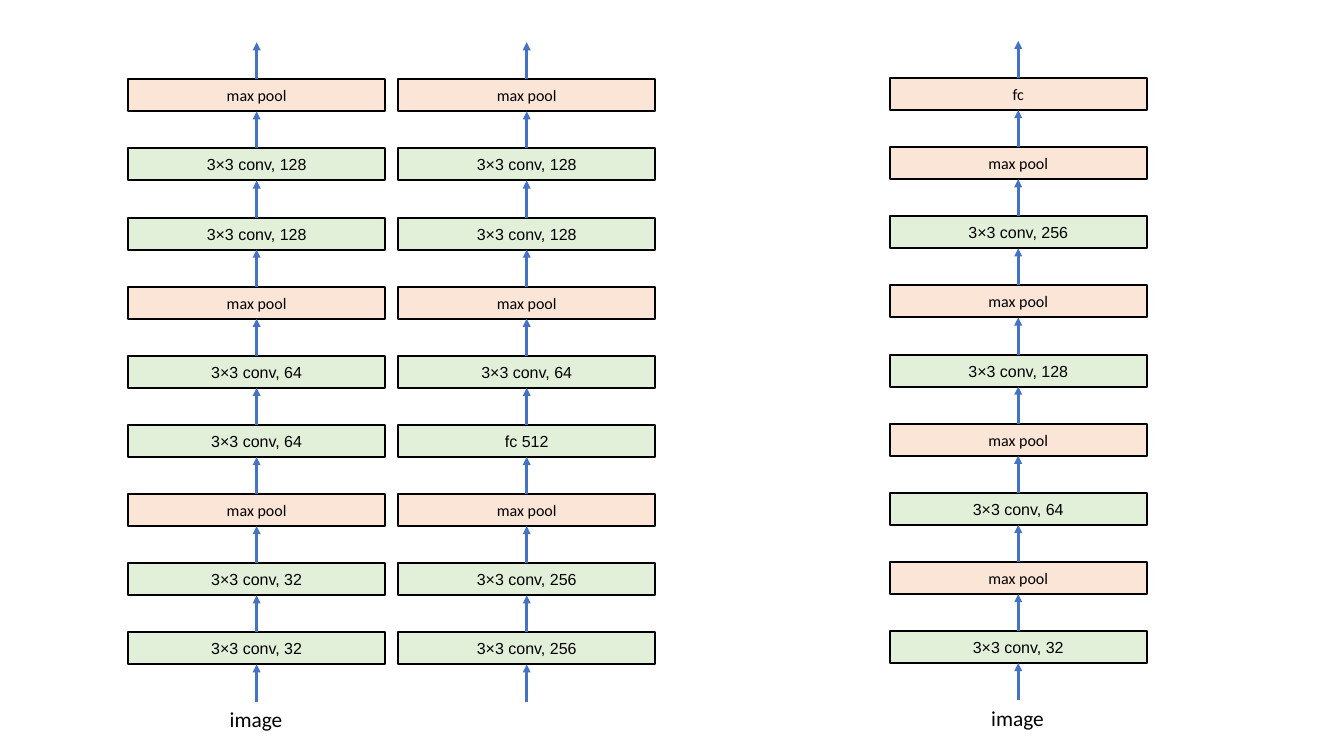
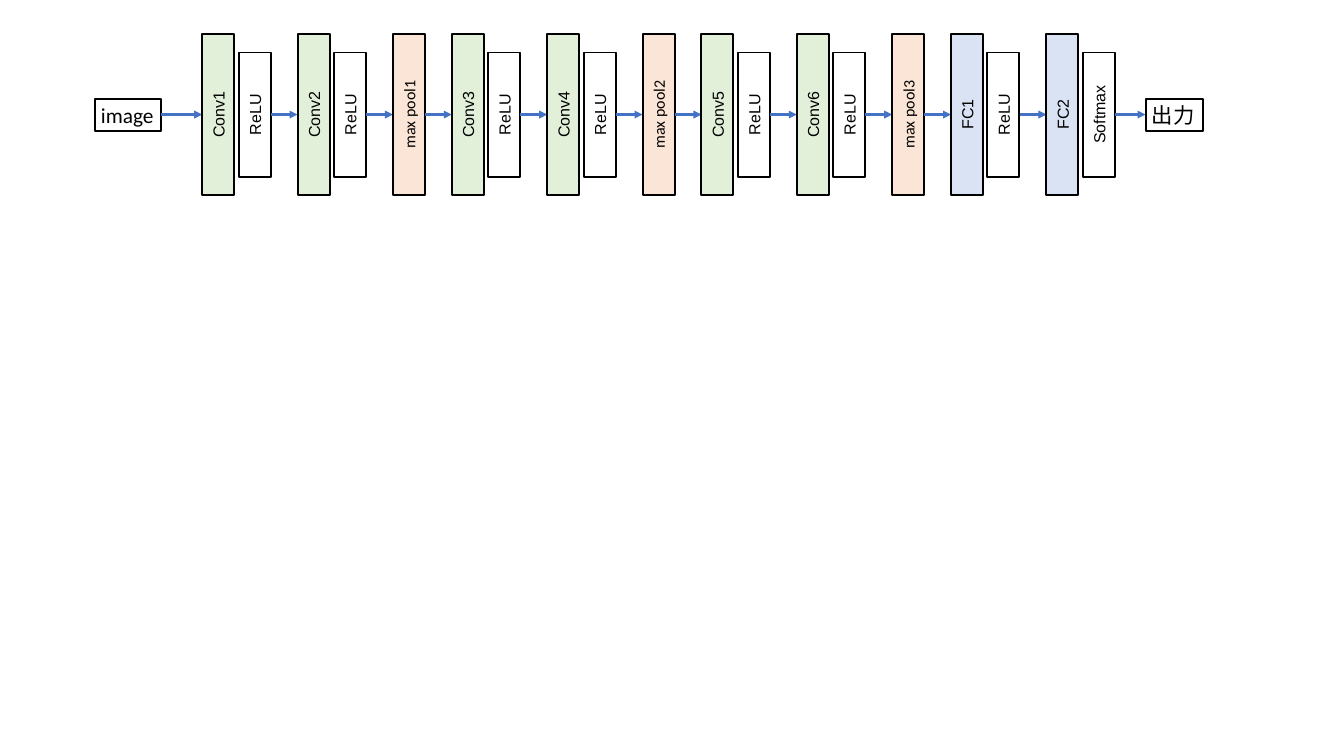
"""Build two slides of convolutional network diagrams."""
from pptx import Presentation
from pptx.dml.color import RGBColor
from pptx.enum.shapes import MSO_CONNECTOR, MSO_SHAPE
from pptx.enum.text import MSO_ANCHOR, MSO_AUTO_SIZE, PP_ALIGN
from pptx.oxml.ns import qn
from pptx.util import Pt
from lxml.etree import SubElement

PX = 9144
BLACK = RGBColor(0x00, 0x00, 0x00)
BLUE = RGBColor(0x44, 0x72, 0xC4)
GREEN = RGBColor(0xE2, 0xF0, 0xD9)
PEACH = RGBColor(0xFB, 0xE5, 0xD6)
PALE_BLUE = RGBColor(0xDA, 0xE3, 0xF3)

THICKNESS = 50
TOWER_WIDTH = 402
TOWER_PITCH = 108
TOWERS = [
    (200, 124, True, ["max pool", "3×3 conv, 128", "3×3 conv, 128", "max pool", "3×3 conv, 64",
                      "3×3 conv, 64", "max pool", "3×3 conv, 32", "3×3 conv, 32"]),
    (622, 124, False, ["max pool", "3×3 conv, 128", "3×3 conv, 128", "max pool", "3×3 conv, 64",
                       "fc 512", "max pool", "3×3 conv, 256", "3×3 conv, 256"]),
    (1390, 122, True, ["fc", "max pool", "3×3 conv, 256", "max pool", "3×3 conv, 128",
                       "max pool", "3×3 conv, 64", "max pool", "3×3 conv, 32"]),
]

AXIS = 179
LAYER_LENGTH = 252
ACTIVATION_LENGTH = 194
ACTIVATION_GAP = 7
ARROW_GAP = 42
OUTPUT_LEFT = 1790
PIPELINE = [
    ("Conv1", GREEN, "ReLU"), ("Conv2", GREEN, "ReLU"), ("max pool1", PEACH, None),
    ("Conv3", GREEN, "ReLU"), ("Conv4", GREEN, "ReLU"), ("max pool2", PEACH, None),
    ("Conv5", GREEN, "ReLU"), ("Conv6", GREEN, "ReLU"), ("max pool3", PEACH, None),
    ("FC1", PALE_BLUE, "ReLU"), ("FC2", PALE_BLUE, "Softmax"),
]


def write_text(shape, text, size=18, font="Arial", align=PP_ALIGN.CENTER,
               anchor=MSO_ANCHOR.MIDDLE, wrap=True, grow=False):
    frame = shape.text_frame
    frame.word_wrap = wrap
    frame.vertical_anchor = anchor
    if grow:
        frame.auto_size = MSO_AUTO_SIZE.SHAPE_TO_FIT_TEXT
    paragraph = frame.paragraphs[0]
    paragraph.alignment = align
    run = paragraph.add_run()
    run.text = text
    run.font.size = Pt(size)
    run.font.name = font
    run.font.color.rgb = BLACK


class Diagram:
    def __init__(self, width, height):
        self.presentation = Presentation()
        self.presentation.slide_width = width * PX
        self.presentation.slide_height = height * PX
        self.caption_format = dict(size=24, font="Calibri", align=PP_ALIGN.LEFT,
                                   anchor=MSO_ANCHOR.TOP, grow=True)
        self.slide = None

    def new_slide(self):
        self.slide = self.presentation.slides.add_slide(self.presentation.slide_layouts[6])

    def box(self, left, top, width, height, fill=None):
        shape = self.slide.shapes.add_shape(
            MSO_SHAPE.RECTANGLE, left * PX, top * PX, width * PX, height * PX)
        shape.shadow.inherit = False
        if fill is None:
            shape.fill.background()
        else:
            shape.fill.solid()
            shape.fill.fore_color.rgb = fill
        shape.line.color.rgb = BLACK
        shape.line.width = Pt(2.25)
        return shape

    def layer(self, left, top, width, text, fill=None):
        shape = self.box(left, top, width, THICKNESS, fill)
        write_text(shape, text, font="Calibri" if fill == PEACH else "Arial")
        return shape

    def upright_layer(self, left, length, text, fill=None):
        shape = self.layer(left + (THICKNESS - length) // 2, AXIS - THICKNESS // 2,
                           length, text, fill)
        shape.rotation = 270

    def caption(self, left, top, text):
        shape = self.slide.shapes.add_textbox(left * PX, top * PX, 103 * PX, THICKNESS * PX)
        write_text(shape, text, wrap=False, **self.caption_format)

    def end_box(self, left, width, text):
        shape = self.box(left, AXIS - THICKNESS // 2, width, THICKNESS)
        write_text(shape, text, **self.caption_format)

    def arrow(self, start_x, start_y, end_x, end_y):
        connector = self.slide.shapes.add_connector(
            MSO_CONNECTOR.STRAIGHT, start_x * PX, start_y * PX, end_x * PX, end_y * PX)
        connector.line.color.rgb = BLUE
        connector.line.width = Pt(3)
        properties = connector._element.spPr
        SubElement(properties.find(qn("a:ln")), qn("a:tailEnd"), type="triangle")
        SubElement(properties, qn("a:effectLst"))


def draw_tower(diagram, left, top, has_input, labels):
    for row, label in enumerate(labels):
        fill = PEACH if label in ("max pool", "fc") else GREEN
        diagram.layer(left, top + row * TOWER_PITCH, TOWER_WIDTH, label, fill)
    center = left + TOWER_WIDTH // 2
    for row in range(len(labels) + 1):
        start = top + row * TOWER_PITCH
        diagram.arrow(center, start, center, start - TOWER_PITCH + THICKNESS)
    if has_input:
        diagram.caption(left + 149, top + len(labels) * TOWER_PITCH + 2, "image")


def draw_pipeline(diagram):
    diagram.end_box(148, 103, "image")
    previous_end, left = 251, 316
    for label, fill, activation in PIPELINE:
        diagram.arrow(previous_end, AXIS, left, AXIS)
        diagram.upright_layer(left, LAYER_LENGTH, label, fill)
        if activation:
            left += THICKNESS + ACTIVATION_GAP
            diagram.upright_layer(left, ACTIVATION_LENGTH, activation)
        previous_end = left + THICKNESS
        left = previous_end + ARROW_GAP
    diagram.arrow(previous_end, AXIS, OUTPUT_LEFT, AXIS)
    diagram.end_box(OUTPUT_LEFT, 89, "出力")


def main():
    diagram = Diagram(2100, 1181)
    diagram.new_slide()
    for tower in TOWERS:
        draw_tower(diagram, *tower)
    diagram.new_slide()
    draw_pipeline(diagram)
    diagram.presentation.save("out.pptx")


if __name__ == "__main__":
    main()
